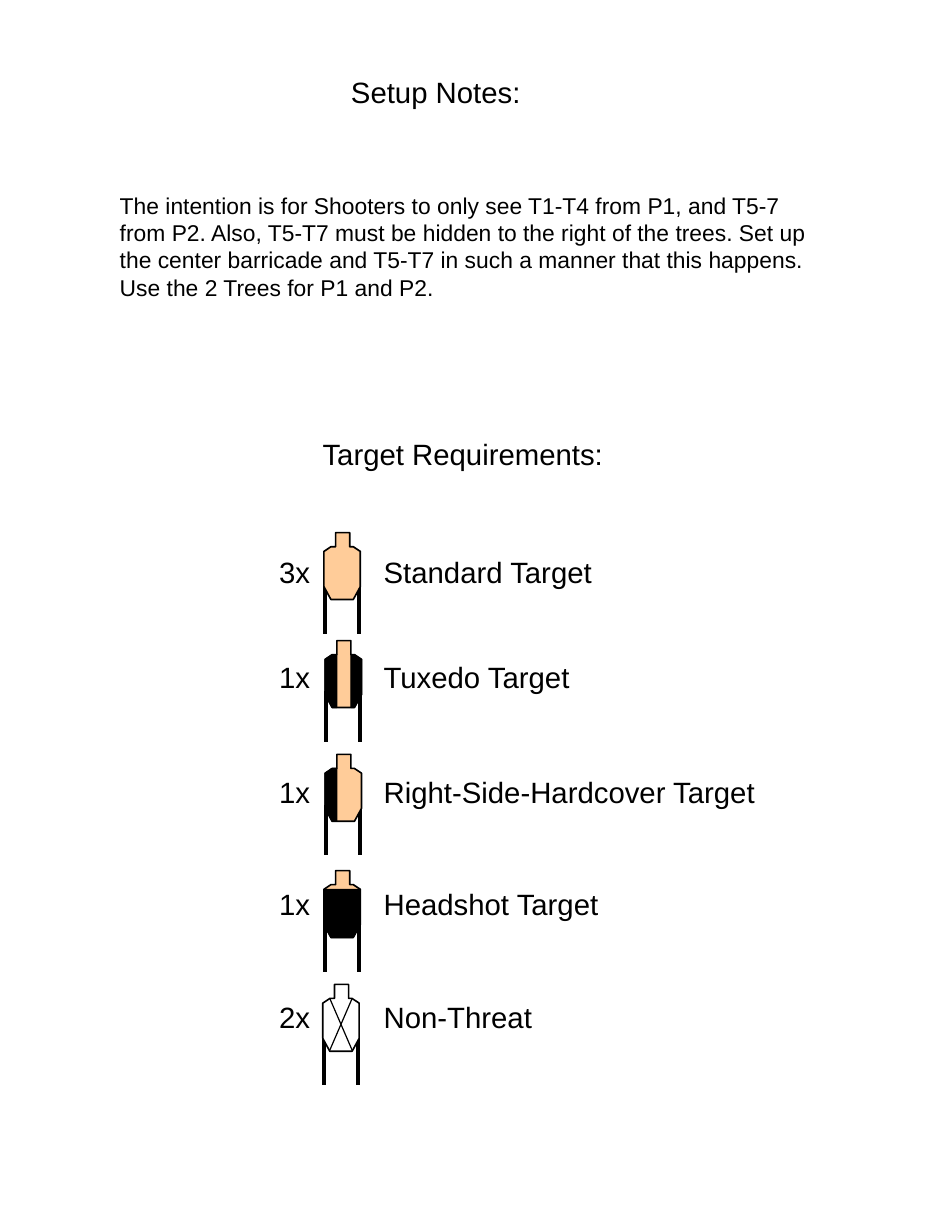
from dataclasses import dataclass

from lxml.etree import SubElement
from pptx import Presentation
from pptx.dml.color import RGBColor
from pptx.enum.shapes import MSO_CONNECTOR
from pptx.enum.text import MSO_ANCHOR, MSO_AUTO_SIZE, PP_ALIGN
from pptx.oxml.ns import qn
from pptx.util import Inches, Pt


@dataclass(frozen=True)
class Theme:
    font: str = "Arial"
    ink: RGBColor = RGBColor(0, 0, 0)
    tan: RGBColor = RGBColor(0xFF, 0xCC, 0x99)
    white: RGBColor = RGBColor(0xFF, 0xFF, 0xFF)
    head: int = 18
    body: int = 14
    leg: float = 2.25
    edge: float = 1
    cross: float = 0.75


THEME = Theme()
CELL = Inches(0.01)  # grid on which each target is drawn
WIDE = 31
COUNT, NAME = 2.28, 3.17  # left edges of the label columns
NOTES = (
    "The intention is for Shooters to only see T1-T4 from P1, and T5-7 from P2. "
    "Also, T5-T7 must be hidden to the right of the trees. Set up the center "
    "barricade and T5-T7 in such a manner that this happens.\n"
    "Use the 2 Trees for P1 and P2."
)


def mirror(points):
    return [(WIDE - x, y) for x, y in points]


HALF = [(21.5, 0), (21.5, 11.5), (25, 11.5), (31, 15.5), (31, 46), (25, 57)]
BODY = HALF + mirror(HALF)[::-1]
RIGHT = [(21.5, 12), (21.5, 57)] + HALF[:1:-1]
LEFT = mirror(RIGHT)
FRONT = [(-0.5, 16), (31, 16), (31, 45.5), (25, 57), (6.5, 57), (-0.5, 46)]
CROSS = [(25, 12, 6, 56), (6, 12, 25, 56)]
LEGS = [(1, 43, 1, 86), (30, 43, 30, 86)]

# count, name, target left and top, label top, name width, fill, panels, cross
TARGETS = [
    ("3x", "Standard Target", 2.76, 4.54, 4.67, 2.01, THEME.tan, [], []),
    ("1x", "Tuxedo Target", 2.77, 5.46, 5.57, 1.8, THEME.tan, [RIGHT, LEFT], []),
    ("1x", "Right-Side-Hardcover Target", 2.77, 6.43, 6.55, 3.53, THEME.tan, [LEFT], []),
    ("1x", "Headshot Target", 2.76, 7.42, 7.5, 2.06, THEME.tan, [FRONT], []),
    ("2x", "Non-Threat", 2.75, 8.39, 8.47, 1.49, THEME.white, [], CROSS),
]


def write(shape, box, text, size, wrap=False):
    """Place a text shape in its box and format its left-aligned text."""
    shape.left, shape.top, shape.width, shape.height = map(Inches, box)
    frame = shape.text_frame
    frame.text = text
    frame.word_wrap = wrap
    frame.auto_size = MSO_AUTO_SIZE.NONE
    frame.vertical_anchor = MSO_ANCHOR.TOP
    for para in frame.paragraphs:
        props = para._p.get_or_add_pPr()
        props.set("marL", "0")
        props.set("indent", "0")
        SubElement(props, qn("a:buNone"))
        para.alignment = PP_ALIGN.LEFT
        para.space_before = Pt(0)
        for run in para.runs:
            run.font.name = THEME.font
            run.font.size = Pt(size)
            run.font.color.rgb = THEME.ink


def add_text(slide, box, text):
    write(slide.shapes.add_textbox(*map(Inches, box)), box, text, THEME.head)


def add_line(group, left, top, ends, width):
    x1, y1, x2, y2 = (round(end * CELL) for end in ends)
    line = group.shapes.add_connector(
        MSO_CONNECTOR.STRAIGHT, left + x1, top + y1, left + x2, top + y2)
    line.line.color.rgb = THEME.ink
    line.line.width = Pt(width)
    SubElement(line._element.spPr, qn("a:effectLst"))


def add_form(group, left, top, points, fill, width):
    build = group.shapes.build_freeform(*points[0], scale=CELL)
    build.add_line_segments(points[1:], close=True)
    form = build.convert_to_shape(left, top)
    form.shadow.inherit = False
    form.fill.solid()
    form.fill.fore_color.rgb = fill
    form.line.color.rgb = THEME.ink
    form.line.width = Pt(width)


def add_target(slide, left, top, fill, panels, cross):
    group = slide.shapes.add_group_shape()
    left, top = Inches(left), Inches(top)
    for leg in LEGS:
        add_line(group, left, top, leg, THEME.leg)
    add_form(group, left, top, BODY, fill, THEME.edge)
    for panel in panels:
        add_form(group, left, top, panel, THEME.ink, 0)
    for ends in cross:
        add_line(group, left, top, ends, THEME.cross)


def add_notes(slide):
    title, body = slide.placeholders
    write(title, (2.89, 0.58, 1.66, 0.4), "Setup Notes:", THEME.head)
    write(body, (0.92, 1.58, 6.17, 1.04), NOTES, THEME.body, wrap=True)


def add_needs(slide):
    """Add the heading and rows of the target list."""
    add_text(slide, (2.65, 3.67, 2.7, 0.4), "Target Requirements:")
    for count, name, left, top, row, width, fill, panels, cross in TARGETS:
        add_target(slide, left, top, fill, panels, cross)
        add_text(slide, (COUNT, row, 0.47, 0.4), count)
        add_text(slide, (NAME, row, width, 0.4), name)


def main():
    deck = Presentation()
    deck.slide_width, deck.slide_height = Inches(8), Inches(10.5)
    slide = deck.slides.add_slide(deck.slide_layouts[1])
    add_notes(slide)
    add_needs(slide)
    deck.save("out.pptx")


if __name__ == "__main__":
    main()
